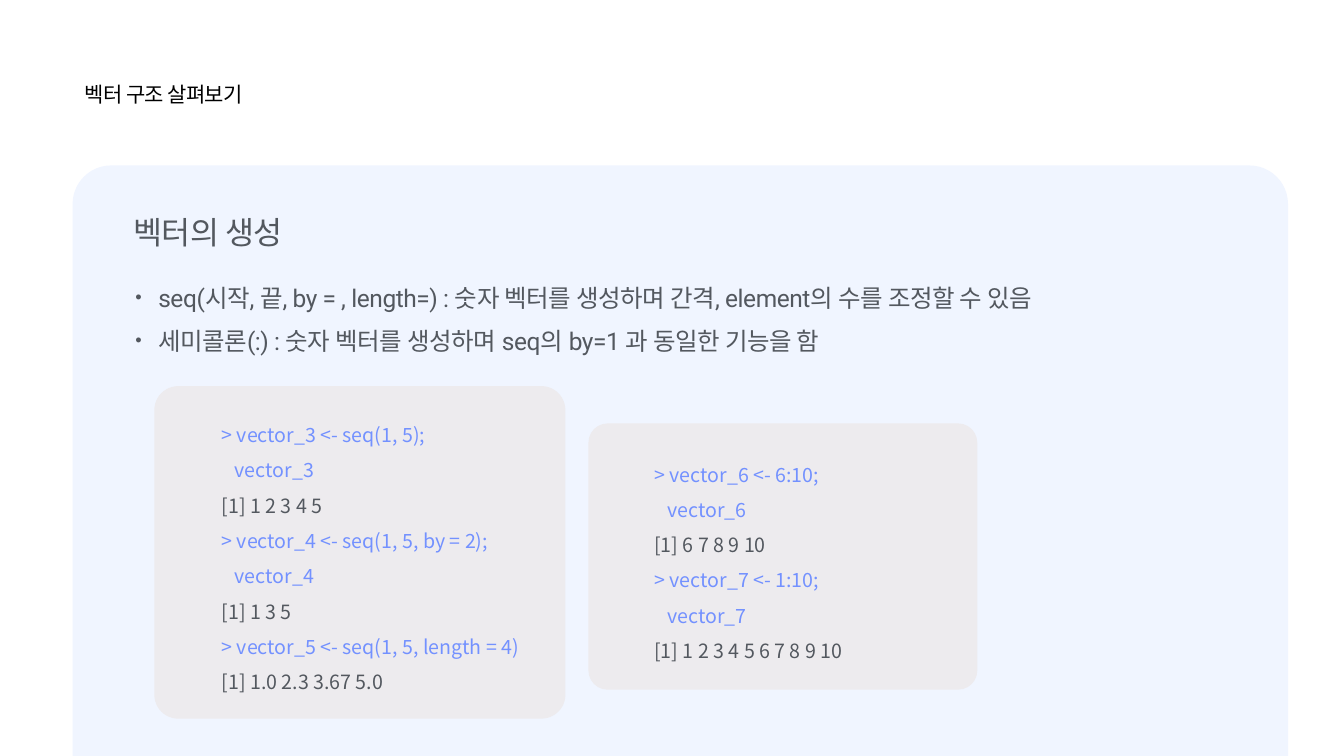
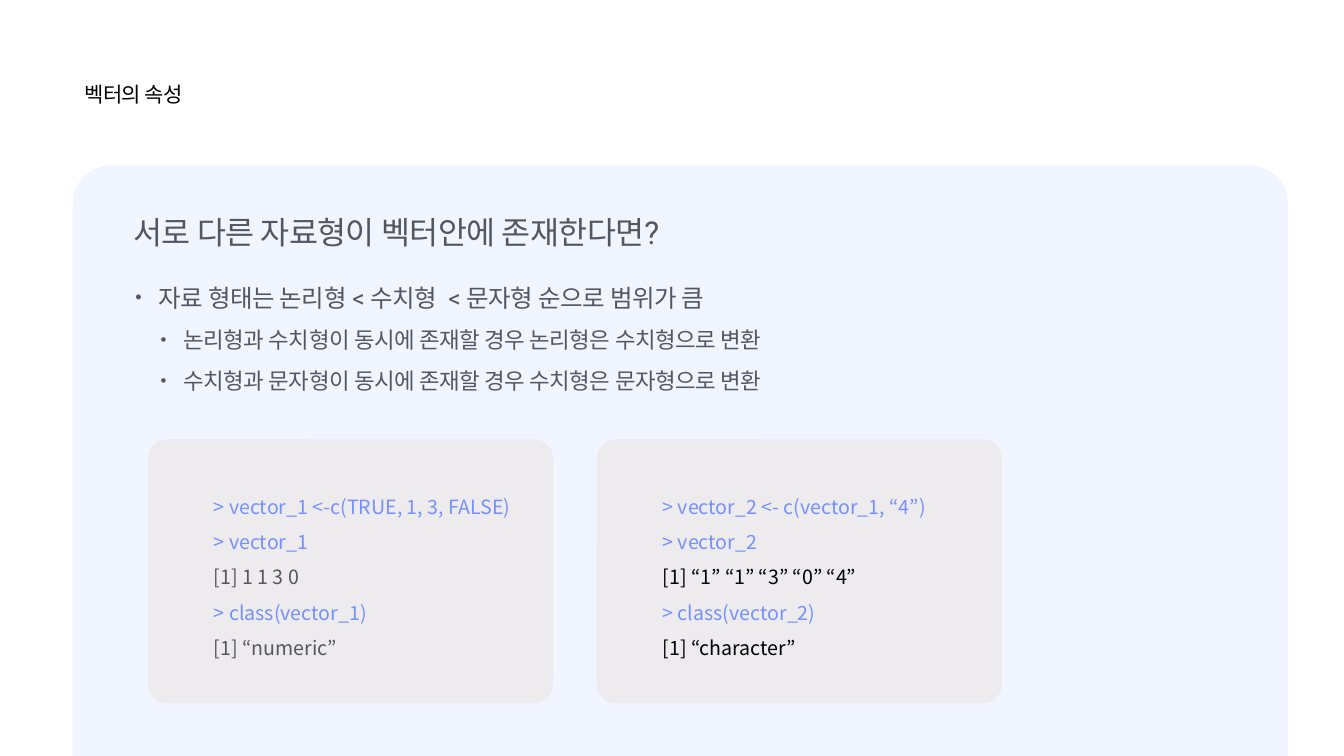
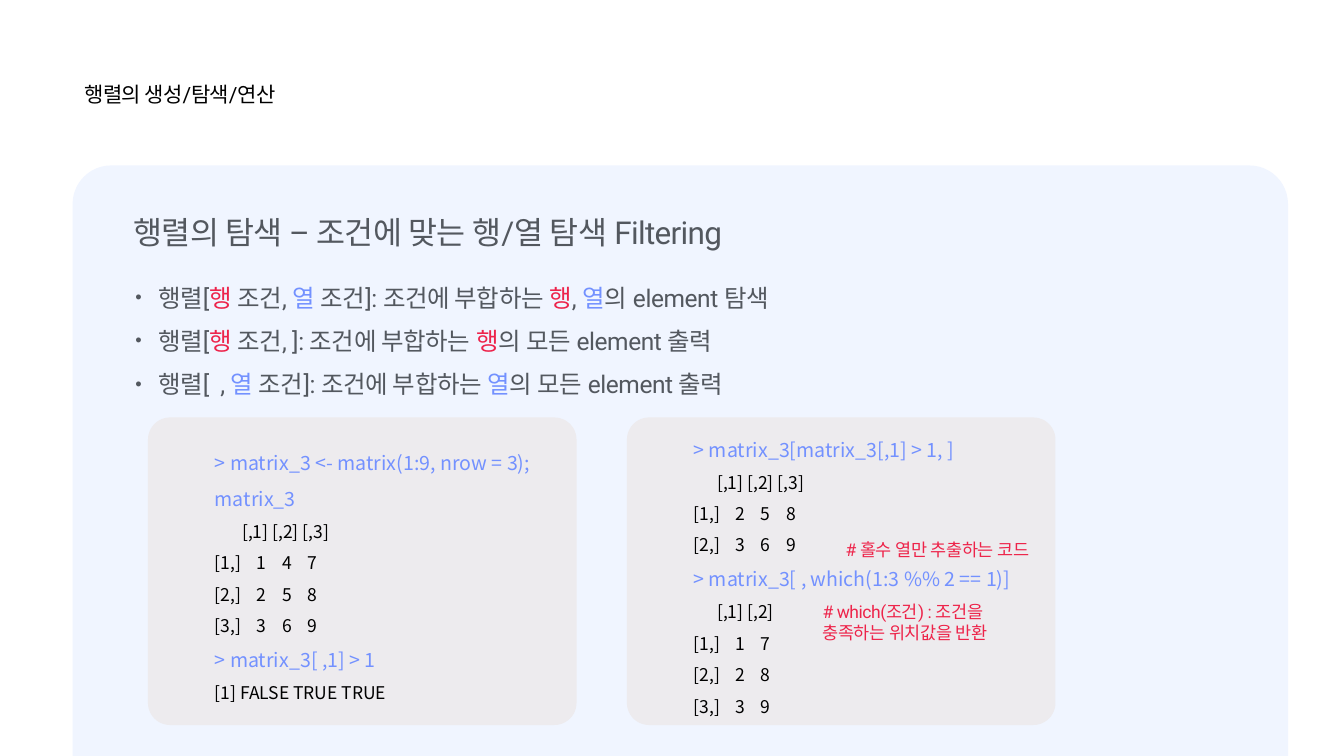
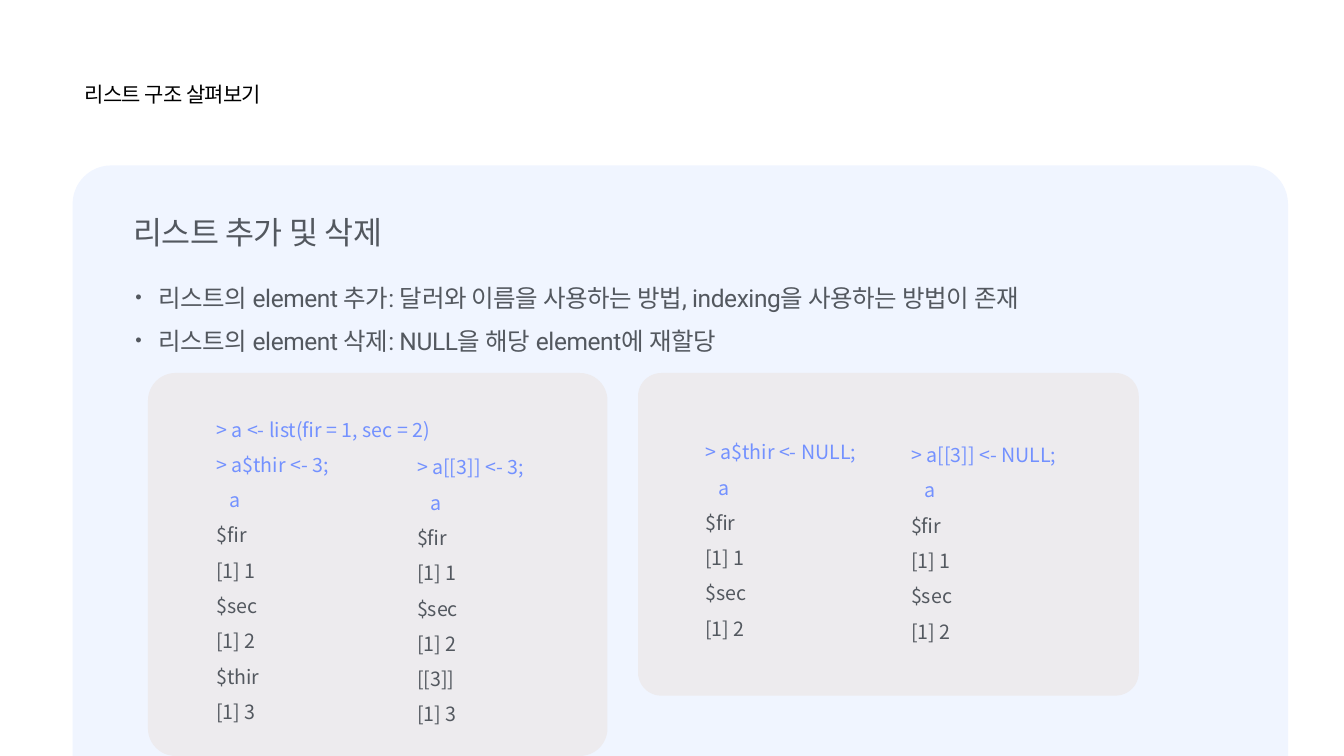
from dataclasses import dataclass

from lxml.etree import SubElement
from pptx import Presentation
from pptx.dml.color import RGBColor
from pptx.enum.shapes import MSO_SHAPE as Shape
from pptx.enum.text import MSO_ANCHOR as Anchor, MSO_AUTO_SIZE as AutoSize, PP_ALIGN as Align
from pptx.oxml.ns import qn
from pptx.util import Cm, Pt


@dataclass(frozen=True)
class Style:
    size: float
    color: str
    font: str = "Roboto"
    tracking: int = 0  # hundredths of a point


class Theme:
    panel = "F0F5FF"
    card = "EDEBEE"
    topic = Style(15, "000000", tracking=-60)
    heading = Style(22.5, "53585F", tracking=-50)
    bullets = (Style(17.5, "53585F", tracking=-30), Style(16, "53585F", tracking=-30))
    note = Style(12.5, "ED244A", tracking=-30)
    code_input = Style(14, "7391FF", "Noto Sans CJK KR")
    code_output = Style(14, "53585F", "Noto Sans CJK KR")
    code_output_black = Style(14, "000000", "Noto Sans CJK KR")
    code_matrix = Style(12.5, "000000", "Noto Sans CJK KR")
    keywords = {"행": "ED234B", "열": "7391FF"}
    code_spacing = 1.5
    bullet_gap = Pt(10)


TOPIC_BOX = (2.11, 2.03, 7.72, 0.69)
PANEL_BOX = (1.83, 4.17, 30.63, 15.95)
HEADING_BOX = (3.33, 5.33, 17.32, 0.99)
BULLET_INDENTS = (0.58, 1.22)
BULLET_HANG = 0.58


def place(shape, box):
    shape.left, shape.top, shape.width, shape.height = map(Cm, box)


def style_run(run, style, color=None):
    font = run.font
    font.size = Pt(style.size)
    font.name = style.font
    font.color.rgb = RGBColor.from_string(color or style.color)
    properties = font._element
    SubElement(properties, qn("a:ea")).set("typeface", style.font)
    if style.tracking:
        properties.set("spc", str(style.tracking))


def prepare_frame(frame, inset, anchor=Anchor.TOP):
    frame.word_wrap = True
    frame.auto_size = AutoSize.NONE
    frame.vertical_anchor = anchor
    frame.margin_left = frame.margin_right = Cm(inset)
    frame.margin_top = frame.margin_bottom = Cm(inset)


def write_line(frame, text, style, inset):
    prepare_frame(frame, inset)
    frame.text = text
    paragraph = frame.paragraphs[0]
    paragraph.alignment = Align.LEFT
    style_run(paragraph.runs[0], style)


def add_line(slide, box, text, style, inset):
    write_line(slide.shapes.add_textbox(*map(Cm, box)).text_frame, text, style, inset)


def add_rounded(slide, box, fill, rounding):
    shape = slide.shapes.add_shape(Shape.ROUNDED_RECTANGLE, *map(Cm, box))
    shape.adjustments[0] = rounding
    shape.shadow.inherit = False
    shape.fill.solid()
    shape.fill.fore_color.rgb = RGBColor.from_string(fill)
    shape.line.fill.background()
    return shape


def set_bullet(paragraph, level):
    paragraph.level = level
    properties = paragraph._p.get_or_add_pPr()
    properties.set("marL", str(Cm(BULLET_INDENTS[level])))
    properties.set("indent", str(-Cm(BULLET_HANG)))
    SubElement(properties, qn("a:buSzPct")).set("val", "75000")
    SubElement(properties, qn("a:buChar")).set("char", "•")


def write_bullets(body, bullets):
    """Fill the body from (level, text) pairs; "|" sets coloured keywords apart."""
    place(body, (3.33, 7.04, 29.31, 1.05 * len(bullets) - 0.1))
    frame = body.text_frame
    prepare_frame(frame, 0.08)
    for index, (level, text) in enumerate(bullets):
        paragraph = frame.add_paragraph() if index else frame.paragraphs[0]
        set_bullet(paragraph, level)
        paragraph.space_before = Pt(0)
        paragraph.space_after = Theme.bullet_gap
        for part in text.split("|"):
            run = paragraph.add_run()
            run.text = part
            style_run(run, Theme.bullets[level], Theme.keywords.get(part.strip()))


def write_code(frame, code, output, anchor):
    """Show console lines: prompts and bare variable names are input, the rest output."""
    prepare_frame(frame, 0.25, anchor)
    frame.margin_left = Cm(1.52)
    frame.margin_top = frame.margin_bottom = Cm(0.13)
    frame.text = code
    for paragraph in frame.paragraphs:
        line = paragraph.text
        is_input = line.startswith(">") or line.strip().isidentifier()
        paragraph.alignment = Align.LEFT
        paragraph.line_spacing = Theme.code_spacing
        style_run(paragraph.runs[0], Theme.code_input if is_input else output)


def add_code_card(slide, box, code, output=Theme.code_output):
    card = add_rounded(slide, box, Theme.card, 0.072)
    write_code(card.text_frame, code, output, Anchor.MIDDLE)


def add_code_column(slide, box, code):
    column = slide.shapes.add_textbox(*map(Cm, box))
    write_code(column.text_frame, code, Theme.code_output, Anchor.TOP)


def add_topic_slide(prs, topic, heading, bullets):
    layout = prs.slide_layouts[1]
    slide = prs.slides.add_slide(layout)
    if len(prs.slides) == 1:  # the panel and title place live on the shared layout
        panel = add_rounded(slide, PANEL_BOX, Theme.panel, 0.061)
        layout.shapes.element.insert(2, panel.element)
        place(layout.placeholders[0], TOPIC_BOX)
    write_line(slide.shapes.title.text_frame, topic, Theme.topic, 0.03)
    add_line(slide, HEADING_BOX, heading, Theme.heading, 0.03)
    write_bullets(slide.placeholders[1], bullets)
    return slide


def add_vector_creation(prs):
    slide = add_topic_slide(prs, "벡터 구조 살펴보기", "벡터의 생성", [
        (0, "seq(시작, 끝, by = , length=) : 숫자 벡터를 생성하며 간격, element의 수를 조정할 수 있음"),
        (0, "세미콜론(:) : 숫자 벡터를 생성하며 seq의 by=1 과 동일한 기능을 함"),
    ])
    add_code_card(slide, (3.89, 9.73, 10.36, 8.38), """\
> vector_3 <- seq(1, 5);
   vector_3
[1] 1 2 3 4 5
> vector_4 <- seq(1, 5, by = 2);
   vector_4
[1] 1 3 5
> vector_5 <- seq(1, 5, length = 4)
[1] 1.0 2.3 3.67 5.0""")
    add_code_card(slide, (14.83, 10.67, 9.8, 6.71), """\
> vector_6 <- 6:10;
   vector_6
[1] 6 7 8 9 10
> vector_7 <- 1:10;
   vector_7
[1] 1 2 3 4 5 6 7 8 9 10""")


def add_vector_types(prs):
    slide = add_topic_slide(prs, "벡터의 속성", "서로 다른 자료형이 벡터안에 존재한다면?", [
        (0, "자료 형태는 논리형 < 수치형  < 문자형 순으로 범위가 큼"),
        (1, "논리형과 수치형이 동시에 존재할 경우 논리형은 수치형으로 변환"),
        (1, "수치형과 문자형이 동시에 존재할 경우 수치형은 문자형으로 변환"),
    ])
    add_code_card(slide, (3.73, 11.07, 10.21, 6.65), """\
> vector_1 <-c(TRUE, 1, 3, FALSE)
> vector_1
[1] 1 1 3 0
> class(vector_1)
[1] “numeric”""")
    add_code_card(slide, (15.04, 11.07, 10.21, 6.65), """\
> vector_2 <- c(vector_1, “4”)
> vector_2
[1] “1” “1” “3” “0” “4”
> class(vector_2)
[1] “character”""", Theme.code_output_black)


def add_matrix_filtering(prs):
    heading = "행렬의 탐색 – 조건에 맞는 행/열 탐색 Filtering"
    slide = add_topic_slide(prs, "행렬의 생성/탐색/연산", heading, [
        (0, "행렬[|행 |조건, |열 |조건]: 조건에 부합하는 |행|, |열|의 element 탐색"),
        (0, "행렬[|행 |조건, ]: 조건에 부합하는 |행|의 모든 element 출력"),
        (0, "행렬[  , |열 |조건]: 조건에 부합하는 |열|의 모든 element 출력"),
    ])
    add_code_card(slide, (3.73, 10.52, 10.8, 7.75), """\
> matrix_3 <- matrix(1:9, nrow = 3); matrix_3
       [,1] [,2] [,3]
[1,]    1    4    7
[2,]    2    5    8
[3,]    3    6    9
> matrix_3[ ,1] > 1
[1] FALSE TRUE TRUE""", Theme.code_matrix)
    add_code_card(slide, (15.8, 10.52, 10.8, 7.75), """\
> matrix_3[matrix_3[,1] > 1, ]
      [,1] [,2] [,3]
[1,]    2    5    8
[2,]    3    6    9
> matrix_3[ , which(1:3 %% 2 == 1)]
      [,1] [,2]
[1,]    1    7
[2,]    2    8
[3,]    3    9""", Theme.code_matrix)
    add_line(slide, (21.23, 13.51, 5.51, 0.69), "# 홀수 열만 추출하는 코드", Theme.note, 0.08)
    add_line(slide, (20.65, 15.06, 4.72, 1.22),
             "# which(조건) : 조건을 충족하는 위치값을 반환", Theme.note, 0.08)


def add_list_editing(prs):
    slide = add_topic_slide(prs, "리스트 구조 살펴보기", "리스트 추가 및 삭제", [
        (0, "리스트의 element 추가: 달러와 이름을 사용하는 방법, indexing을 사용하는 방법이 존재"),
        (0, "리스트의 element 삭제: NULL을 해당 element에 재할당"),
    ])
    remaining = "\n   a\n$fir\n[1] 1\n$sec\n[1] 2"
    add_code_card(slide, (3.73, 9.4, 11.58, 9.65),
                  "> a <- list(fir = 1, sec = 2)\n> a$thir <- 3;" + remaining + "\n$thir\n[1] 3")
    add_code_card(slide, (16.08, 9.4, 12.62, 8.13), "> a$thir <- NULL;" + remaining)
    add_code_column(slide, (8.99, 11.05, 5.97, 7.32),
                    "> a[[3]] <- 3;" + remaining + "\n[[3]]\n[1] 3")
    add_code_column(slide, (21.44, 10.74, 6.5, 5.54), "> a[[3]] <- NULL;" + remaining)


def main():
    prs = Presentation()
    prs.slide_width, prs.slide_height = Cm(33.87), Cm(19.05)
    add_vector_creation(prs)
    add_vector_types(prs)
    add_matrix_filtering(prs)
    add_list_editing(prs)
    prs.save("out.pptx")


if __name__ == "__main__":
    main()
